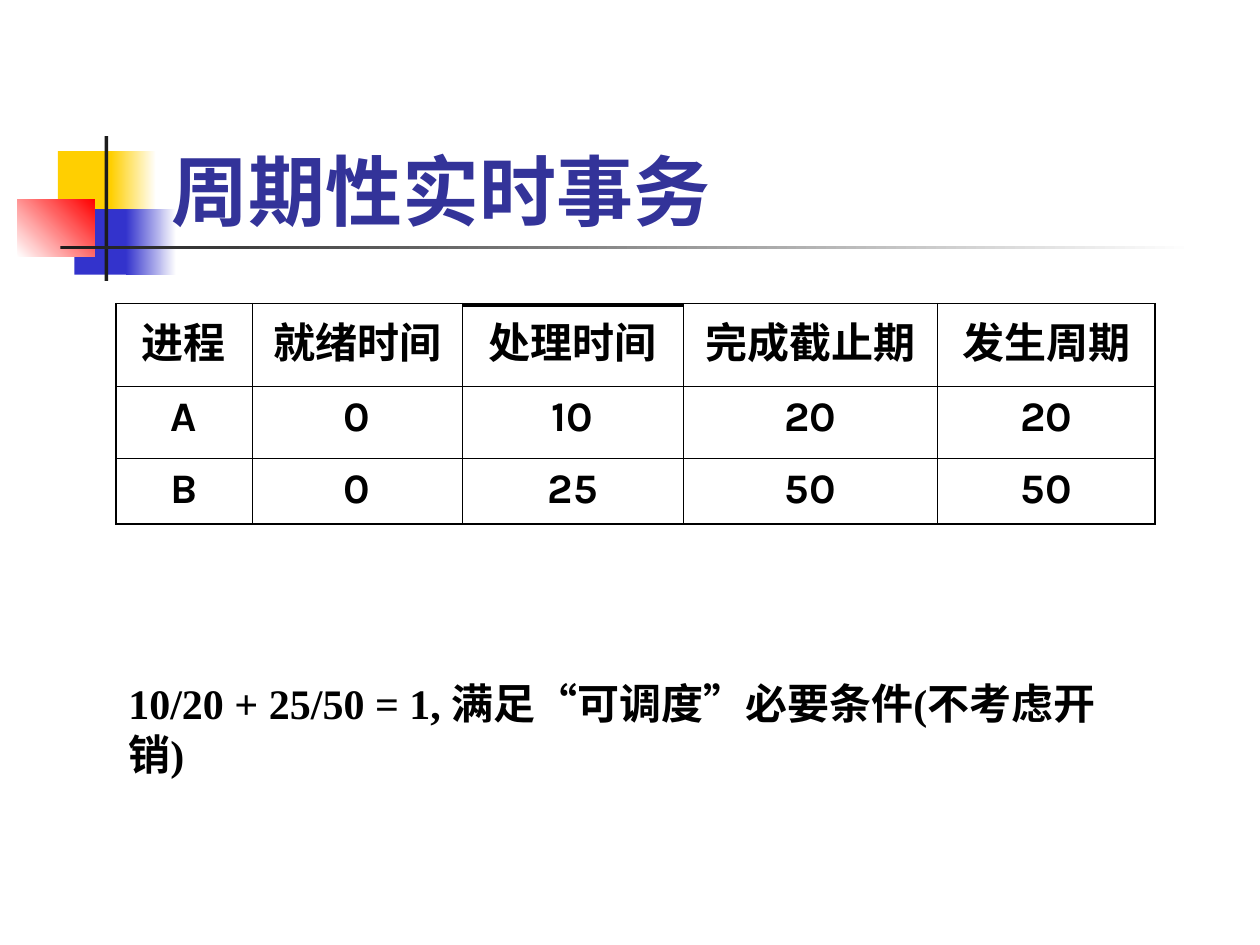
"""Build a slide on periodic real-time tasks with a schedule table."""
import pptx
import pptx.dml.color
import pptx.enum.shapes
import pptx.enum.text
import pptx.oxml.ns
import pptx.util
from lxml import etree

Inches = pptx.util.Inches
Pt = pptx.util.Pt
RGBColor = pptx.dml.color.RGBColor
ALIGN = pptx.enum.text.PP_ALIGN
ANCHOR = pptx.enum.text.MSO_ANCHOR

GOLD = RGBColor(0xFF, 0xCF, 0x01)
BLUE = RGBColor(0x33, 0x33, 0xCC)
RED = RGBColor(0xFF, 0x00, 0x00)
DARK = RGBColor(0x1C, 0x1C, 0x1C)
NAVY = RGBColor(0x33, 0x33, 0x99)
BLACK = RGBColor(0x00, 0x00, 0x00)
WHITE = RGBColor(0xFF, 0xFF, 0xFF)


def style(para, face, size, color):
    para.font.name = face
    para.font.size = Pt(size)
    para.font.bold = True
    para.font.color.rgb = color


def border(cell, side, width):
    props = cell._tc.get_or_add_tcPr()
    line = etree.SubElement(props, pptx.oxml.ns.qn(f"a:{side}"), w=str(Pt(width)))
    fill = etree.SubElement(line, pptx.oxml.ns.qn("a:solidFill"))
    etree.SubElement(fill, pptx.oxml.ns.qn("a:srgbClr"), val=str(BLACK))


deck = pptx.Presentation()
deck.slide_width = Inches(10)
deck.slide_height = Inches(7.5)
slide = deck.slides.add_slide(deck.slide_layouts[5])
shapes = slide.shapes

blocks = [
    (0.46, 1.2, 0.48, 0.52, GOLD, GOLD, 0),
    (0.88, 1.2, 0.36, 0.52, GOLD, WHITE, 0),
    (0.59, 1.66, 0.46, 0.52, BLUE, BLUE, 0),
    (1, 1.66, 0.4, 0.52, BLUE, WHITE, 0),
    (0.14, 1.58, 0.61, 0.46, WHITE, RED, 45),
    (0.83, 1.08, 0.03, 1.15, DARK, DARK, 0),
    (0.48, 1.95, 9, 0.03, DARK, WHITE, 0),
]
for left, top, width, height, start, end, angle in blocks:
    block = shapes.add_shape(
        pptx.enum.shapes.MSO_SHAPE.RECTANGLE,
        Inches(left), Inches(top), Inches(width), Inches(height),
    )
    block.shadow.inherit = False
    block.line.fill.background()
    if start == end:
        block.fill.solid()
        block.fill.fore_color.rgb = start
    else:
        block.fill.gradient()
        block.fill.gradient_angle = angle
        for stop, color in zip(block.fill.gradient_stops, (start, end)):
            stop.color.rgb = color

title = shapes.title
title.element.getparent().append(title.element)
title.left, title.top = Inches(1.26), Inches(0.67)
title.width, title.height = Inches(8.52), Inches(1.25)
title.text_frame.text = "周期性实时事务"
title.text_frame.vertical_anchor = ANCHOR.BOTTOM
title.text_frame.paragraphs[0].alignment = ALIGN.LEFT
style(title.text_frame.paragraphs[0], "Karla", 44, NAVY)

rows = [
    ("进程", "就绪时间", "处理时间", "完成截止期", "发生周期"),
    ("A", "0", "10", "20", "20"),
    ("B", "0", "25", "50", "50"),
]
widths = [1.08, 1.67, 1.75, 2.02, 1.73]
heights = [0.66, 0.57, 0.52]
table = shapes.add_table(
    len(rows), len(widths),
    Inches(0.92), Inches(2.41), Inches(sum(widths)), Inches(sum(heights)),
).table
table.first_row = False
table.horz_banding = False
for column, width in zip(table.columns, widths):
    column.width = Inches(width)
for row, height in zip(table.rows, heights):
    row.height = Inches(height)
for r, row in enumerate(rows):
    for c, text in enumerate(row):
        cell = table.cell(r, c)
        cell.text = text
        para = cell.text_frame.paragraphs[0]
        para.alignment = ALIGN.CENTER
        style(para, "Karla", 24, BLACK)
        edges = {
            "lnL": c == 0,
            "lnR": c == len(widths) - 1,
            "lnT": r == 0,
            "lnB": r == len(rows) - 1,
        }
        for side, outer in edges.items():
            border(cell, side, 1.08 if outer else 0.45)
        cell.fill.background()

note = shapes.add_textbox(Inches(0.92), Inches(5.33), Inches(8.27), Inches(0.9))
note.text_frame.word_wrap = True
note.text_frame.auto_size = pptx.enum.text.MSO_AUTO_SIZE.SHAPE_TO_FIT_TEXT
note.text_frame.text = "10/20 + 25/50 = 1, 满足“可调度”必要条件(不考虑开销)"
style(note.text_frame.paragraphs[0], "Times New Roman", 24, BLACK)

rule = shapes.add_connector(
    pptx.enum.shapes.MSO_CONNECTOR.STRAIGHT,
    Inches(3.67), Inches(2.42), Inches(5.42), Inches(2.42),
)
rule.line.color.rgb = BLACK
rule.line.width = Pt(2.25)
etree.SubElement(rule.element.spPr, pptx.oxml.ns.qn("a:effectLst"))

deck.save("out.pptx")
